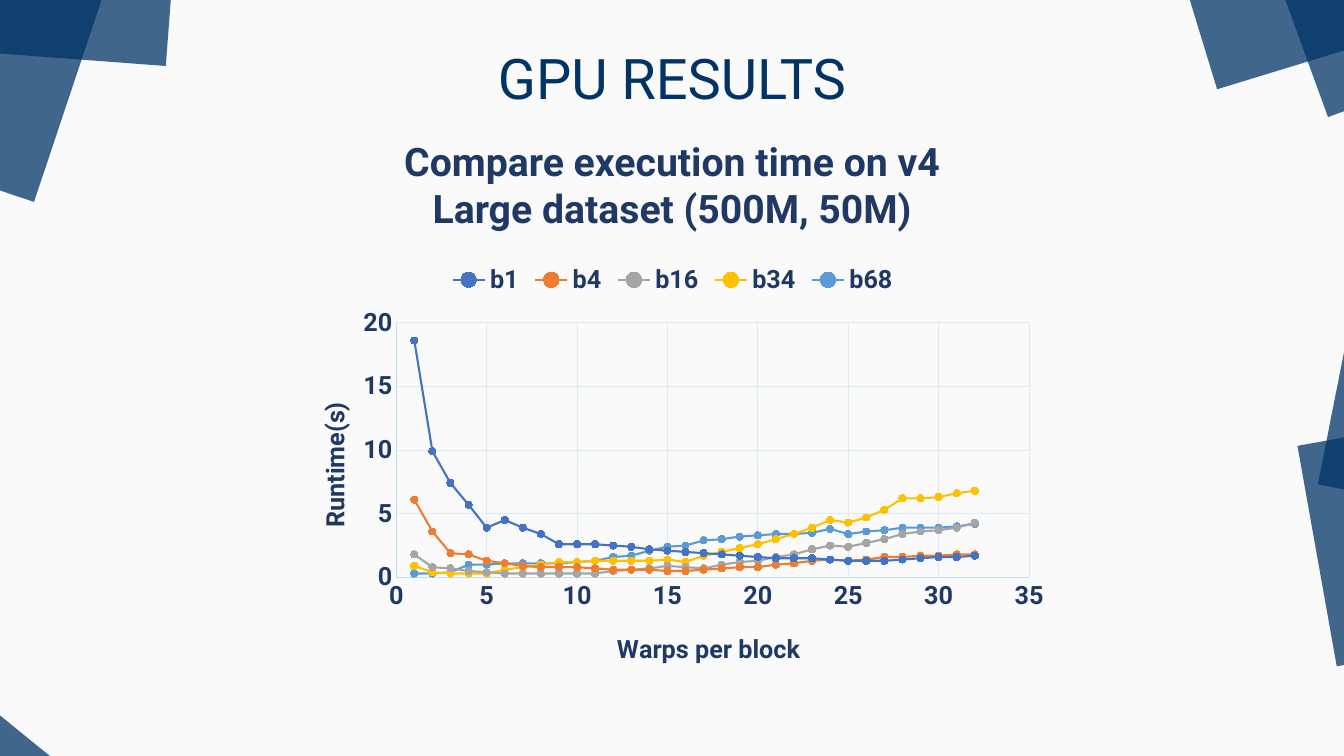
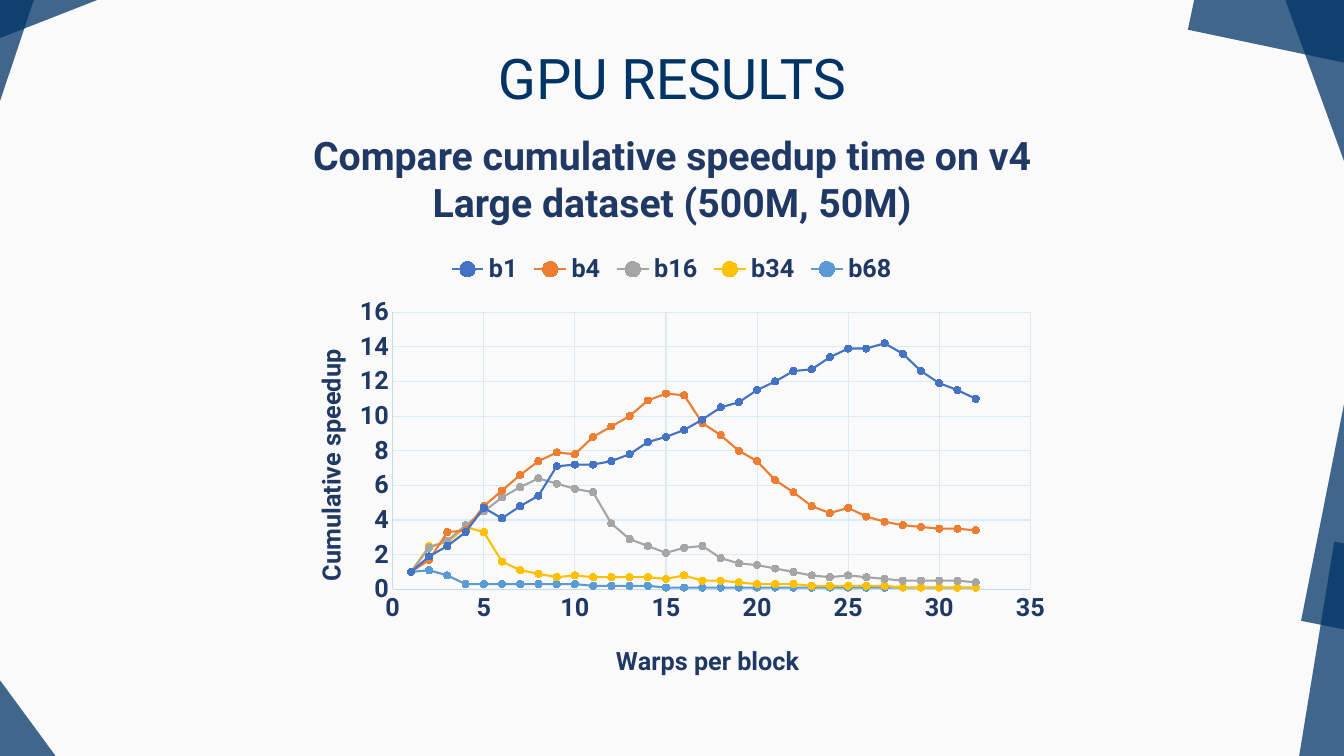
from lxml import etree
from pptx import Presentation
from pptx.chart.data import XyChartData
from pptx.dml.color import RGBColor
from pptx.enum import chart as ch, shapes, text
from pptx.oxml import parse_xml
from pptx.oxml.ns import nsdecls, qn
from pptx.util import Pt

FONT, NAVY, INK, PAPER = "Roboto", "003366", "203864", "FAFAFA"
AXIS, GRID = "C3DEEB", "DBEBF3"
SERIES_COLORS = {"b1": "4472C4", "b4": "ED7D31", "b16": "A5A5A5", "b34": "FFC000", "b68": "5B9BD5"}
TILE_SIZES = [(73, 169), (101, 167), (184, 169), (168, 160), (194, 114), (174, 76), (73, 169)]
PLOT_LEFT, PLOT_TOP, PLOT_RIGHT, PLOT_BOTTOM = 79, 50, 22, 75

RUNTIME = {
    "tiles": [(-20, -32, 18.5), (-11.5, -93, 274.3), (956, 196.5, 11.2), (939.5, 302.5, 349.9),
              (872, -84, 70), (854.5, -36, 343), (-39, 471.5, 309.1)],
    "heading": ["Compare execution time on v4", "Large dataset (500M, 50M)"],
    "heading_top": 94.5,
    "box": (204, 180.5, 553, 307),
    "y_title": "Runtime(s)", "y_title_length": 90, "y_max": 20, "y_step": 5,
    "series": {
        "b1": [18.6, 9.9, 7.4, 5.7, 3.9, 4.5, 3.9, 3.4, 2.6, 2.6, 2.6, 2.5, 2.4, 2.2, 2.1, 2,
               1.9, 1.8, 1.7, 1.6, 1.5, 1.5, 1.5, 1.4, 1.3, 1.3, 1.3, 1.4, 1.5, 1.6, 1.6, 1.7],
        "b4": [6.1, 3.6, 1.9, 1.8, 1.3, 1.1, 0.9, 0.8, 0.8, 0.8, 0.7, 0.6, 0.6, 0.6, 0.5, 0.5,
               0.6, 0.7, 0.8, 0.8, 1, 1.1, 1.3, 1.4, 1.3, 1.4, 1.6, 1.6, 1.7, 1.7, 1.8, 1.8],
        "b16": [1.8, 0.8, 0.7, 0.5, 0.4, 0.3, 0.3, 0.3, 0.3, 0.3, 0.3, 0.5, 0.6, 0.7, 0.9, 0.8,
                0.7, 1, 1.2, 1.3, 1.6, 1.8, 2.2, 2.5, 2.4, 2.7, 3, 3.4, 3.6, 3.7, 3.9, 4.3],
        "b34": [0.9, 0.4, 0.3, 0.3, 0.3, 0.6, 0.8, 1, 1.2, 1.2, 1.3, 1.3, 1.3, 1.3, 1.4, 1.2,
                1.7, 2, 2.3, 2.6, 3, 3.4, 3.9, 4.5, 4.3, 4.7, 5.3, 6.2, 6.2, 6.3, 6.6, 6.8],
        "b68": [0.3, 0.3, 0.4, 1, 1, 1.1, 1.1, 1.1, 1.1, 1.2, 1.3, 1.6, 1.7, 2.1, 2.4, 2.5,
                2.9, 3, 3.2, 3.3, 3.4, 3.4, 3.5, 3.8, 3.4, 3.6, 3.7, 3.9, 3.9, 3.9, 4, 4.2],
    },
}
SPEEDUP = {
    "tiles": [(-60, -57, 18.5), (-20, -122.5, 248.6), (944, 294, 11.2), (939, 399.5, 9.3),
              (908, 15, 70), (854.5, -36, 11.9), (-35, 465, 323.7)],
    "heading": ["Compare cumulative speedup time on v4", "Large dataset (500M, 50M)"],
    "heading_top": 90,
    "box": (201.5, 173, 556.5, 323),
    "y_title": "Cumulative speedup", "y_title_length": 166, "y_max": 16, "y_step": 2,
    "series": {
        "b1": [1, 1.9, 2.5, 3.3, 4.7, 4.1, 4.8, 5.4, 7.1, 7.2, 7.2, 7.4, 7.8, 8.5, 8.8, 9.2,
               9.8, 10.5, 10.8, 11.5, 12, 12.6, 12.7, 13.4, 13.9, 13.9, 14.2, 13.6, 12.6, 11.9, 11.5, 11],
        "b4": [1, 1.7, 3.3, 3.4, 4.8, 5.7, 6.6, 7.4, 7.9, 7.8, 8.8, 9.4, 10, 10.9, 11.3, 11.2,
               9.6, 8.9, 8, 7.4, 6.3, 5.6, 4.8, 4.4, 4.7, 4.2, 3.9, 3.7, 3.6, 3.5, 3.5, 3.4],
        "b16": [1, 2.4, 2.8, 3.7, 4.5, 5.3, 5.9, 6.4, 6.1, 5.8, 5.6, 3.8, 2.9, 2.5, 2.1, 2.4,
                2.5, 1.8, 1.5, 1.4, 1.2, 1, 0.8, 0.7, 0.8, 0.7, 0.6, 0.5, 0.5, 0.5, 0.5, 0.4],
        "b34": [1, 2.5, 2.7, 3.6, 3.3, 1.6, 1.1, 0.9, 0.7, 0.8, 0.7, 0.7, 0.7, 0.7, 0.6, 0.8,
                0.5, 0.5, 0.4, 0.3, 0.3, 0.3, 0.2, 0.2, 0.2, 0.2, 0.2, 0.1, 0.1, 0.1, 0.1, 0.1],
        "b68": [1, 1.1, 0.8] + [0.3] * 7 + [0.2] * 4 + [0.1] * 18,
    },
}


def rgb(value):
    """Turn a hex string into a colour."""
    return RGBColor.from_string(value)


def style_font(font, size, color, bold):
    """Set the shared typeface with a size, colour and weight."""
    font.name, font.size, font.bold = FONT, Pt(size), bold
    font.color.rgb = rgb(color)


def add_tiles(slide, places):
    """Scatter the translucent rotated rectangles around the slide edges."""
    for (x, y, angle), (w, h) in zip(places, TILE_SIZES):
        sp = slide.shapes.add_shape(shapes.MSO_SHAPE.RECTANGLE, Pt(x), Pt(y), Pt(w), Pt(h))
        sp.rotation = angle
        sp.shadow.inherit = False
        sp.line.fill.background()
        sp.fill.solid()
        sp.fill.fore_color.rgb = rgb(NAVY)
        color = sp.fill._xPr.find(".//" + qn("a:srgbClr"))
        etree.SubElement(color, qn("a:alpha")).set("val", "74000")


def add_heading(slide, box, lines, size, color, bold):
    """Write centred lines of text in a box."""
    sp = slide.shapes.add_textbox(*map(Pt, box))
    tf = sp.text_frame
    tf.word_wrap = True
    tf.auto_size = text.MSO_AUTO_SIZE.SHAPE_TO_FIT_TEXT
    tf.text = "\n".join(lines)
    for p in tf.paragraphs:
        p.alignment = text.PP_ALIGN.CENTER
        style_font(p.runs[0].font, size, color, bold)


def set_layout(element, index, box, target=""):
    """Fix the place of a chart part, given as fractions of the chart."""
    for old in element.findall(qn("c:layout")):
        element.remove(old)
    inner = f'<c:layoutTarget val="{target}"/>' if target else ""
    inner += '<c:xMode val="edge"/><c:yMode val="edge"/>'
    inner += "".join(f'<c:{k} val="{v:.4f}"/>' for k, v in zip("xywh", box))
    element.insert(index, parse_xml(
        f'<c:layout {nsdecls("c")}><c:manualLayout>{inner}</c:manualLayout></c:layout>'))


def style_axis(axis, title, place, turn, top, step):
    """Format one axis with its scale, grid, labels and title."""
    axis.minimum_scale, axis.maximum_scale, axis.major_unit = 0, top, step
    axis.major_tick_mark = axis.minor_tick_mark = ch.XL_TICK_MARK.NONE
    axis.has_major_gridlines = True
    for line, color in ((axis.format.line, AXIS), (axis.major_gridlines.format.line, GRID)):
        line.color.rgb = rgb(color)
        line.width = Pt(0.75)
    style_font(axis.tick_labels.font, 18, INK, True)
    axis.tick_labels.number_format = "General"
    axis.tick_labels.number_format_is_linked = False
    tf = axis.axis_title.text_frame
    tf.text = title
    style_font(tf.paragraphs[0].runs[0].font, 18, INK, True)
    tf._txBody.bodyPr.set("rot", str(turn * 60000))
    set_layout(axis.axis_title._element, 1, place)


def add_line_chart(slide, content):
    """Draw the scatter chart with lines inside its box."""
    x, y, w, h = content["box"]
    data = XyChartData()
    for name, values in content["series"].items():
        series = data.add_series(name)
        for warps, value in enumerate(values, 1):
            series.add_data_point(warps, value)
    chart = slide.shapes.add_chart(ch.XL_CHART_TYPE.XY_SCATTER_LINES,
                                   Pt(x), Pt(y), Pt(w), Pt(h), data).chart
    chart.has_title = False
    style_font(chart.font, 18, INK, True)
    chart.has_legend = True
    chart.legend.position = ch.XL_LEGEND_POSITION.TOP
    chart.legend.include_in_layout = False
    style_font(chart.legend.font, 18, INK, True)
    style_axis(chart.category_axis, "Warps per block",
               ((w / 2 - 43) / w, (h - 39) / h), 0, 35, 5)
    y_title_top = h / 2 - 5 - content["y_title_length"] / 2
    style_axis(chart.value_axis, content["y_title"], (20 / w, y_title_top / h),
               -90, content["y_max"], content["y_step"])
    plot_w, plot_h = w - PLOT_LEFT - PLOT_RIGHT, h - PLOT_TOP - PLOT_BOTTOM
    set_layout(chart._chartSpace.find(".//" + qn("c:plotArea")), 0,
               (PLOT_LEFT / w, PLOT_TOP / h, plot_w / w, plot_h / h), "inner")
    chart.plots[0].vary_by_categories = False
    for series in chart.plots[0].series:
        color = rgb(SERIES_COLORS[series.name])
        series.smooth = False
        series.format.line.color.rgb = color
        series.format.line.width = Pt(1.5)
        marker = series.marker
        marker.style, marker.size = ch.XL_MARKER_STYLE.CIRCLE, 5
        marker.format.fill.solid()
        marker.format.fill.fore_color.rgb = color
        marker.format.line.color.rgb = color


def add_result_slide(prs, content):
    """Build one results slide from its content."""
    slide = prs.slides.add_slide(prs.slide_layouts[6])
    slide.background.fill.solid()
    slide.background.fill.fore_color.rgb = rgb(PAPER)
    add_tiles(slide, content["tiles"])
    add_heading(slide, (168.5, 27.5, 623, 55.5), ["GPU RESULTS"], 40, NAVY, False)
    add_heading(slide, (168.5, content["heading_top"], 623, 75), content["heading"], 28, INK, True)
    add_line_chart(slide, content)


def main():
    """Build and save the presentation."""
    prs = Presentation()
    prs.slide_width, prs.slide_height = Pt(960), Pt(540)
    for content in (RUNTIME, SPEEDUP):
        add_result_slide(prs, content)
    prs.save("out.pptx")


if __name__ == "__main__":
    main()
